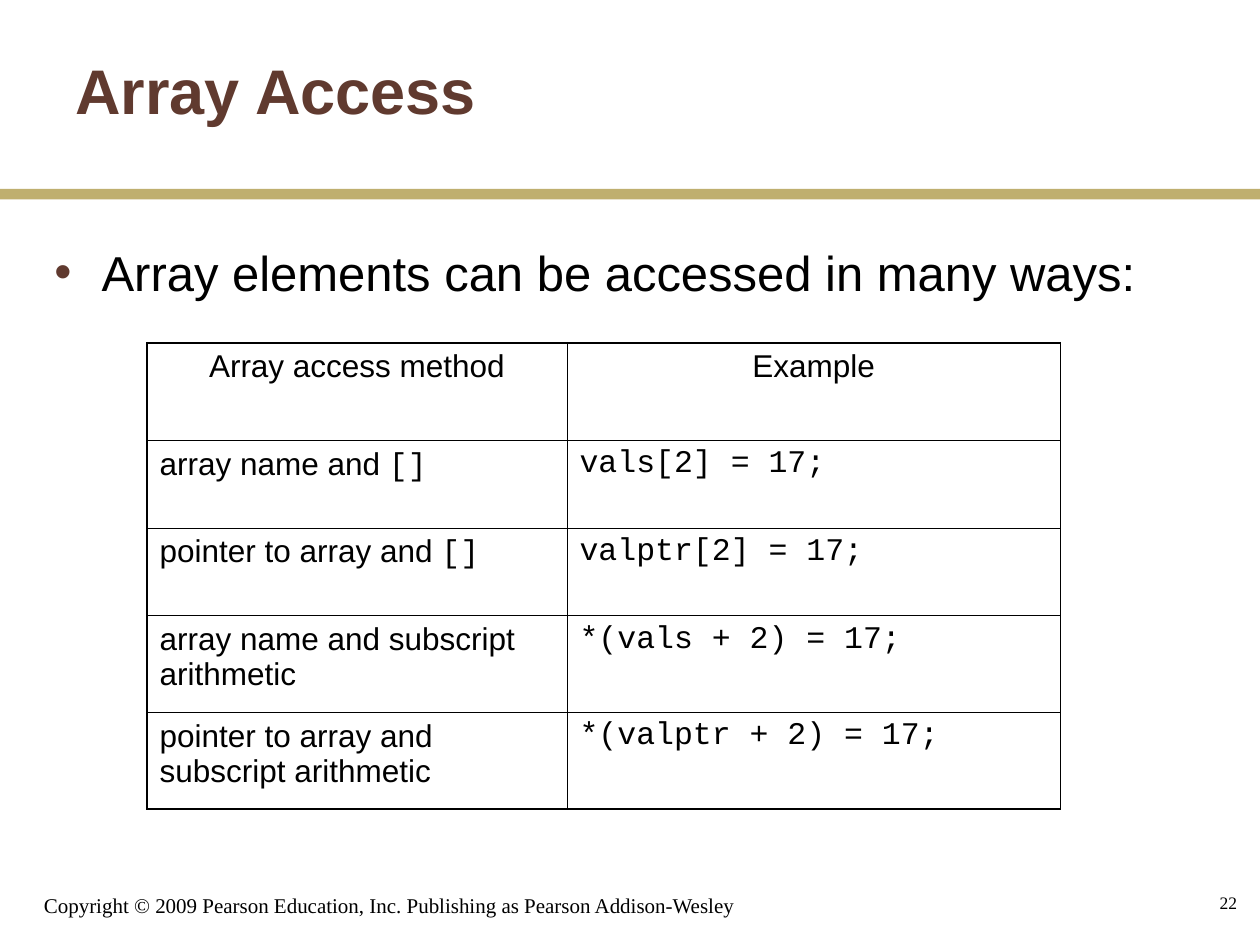
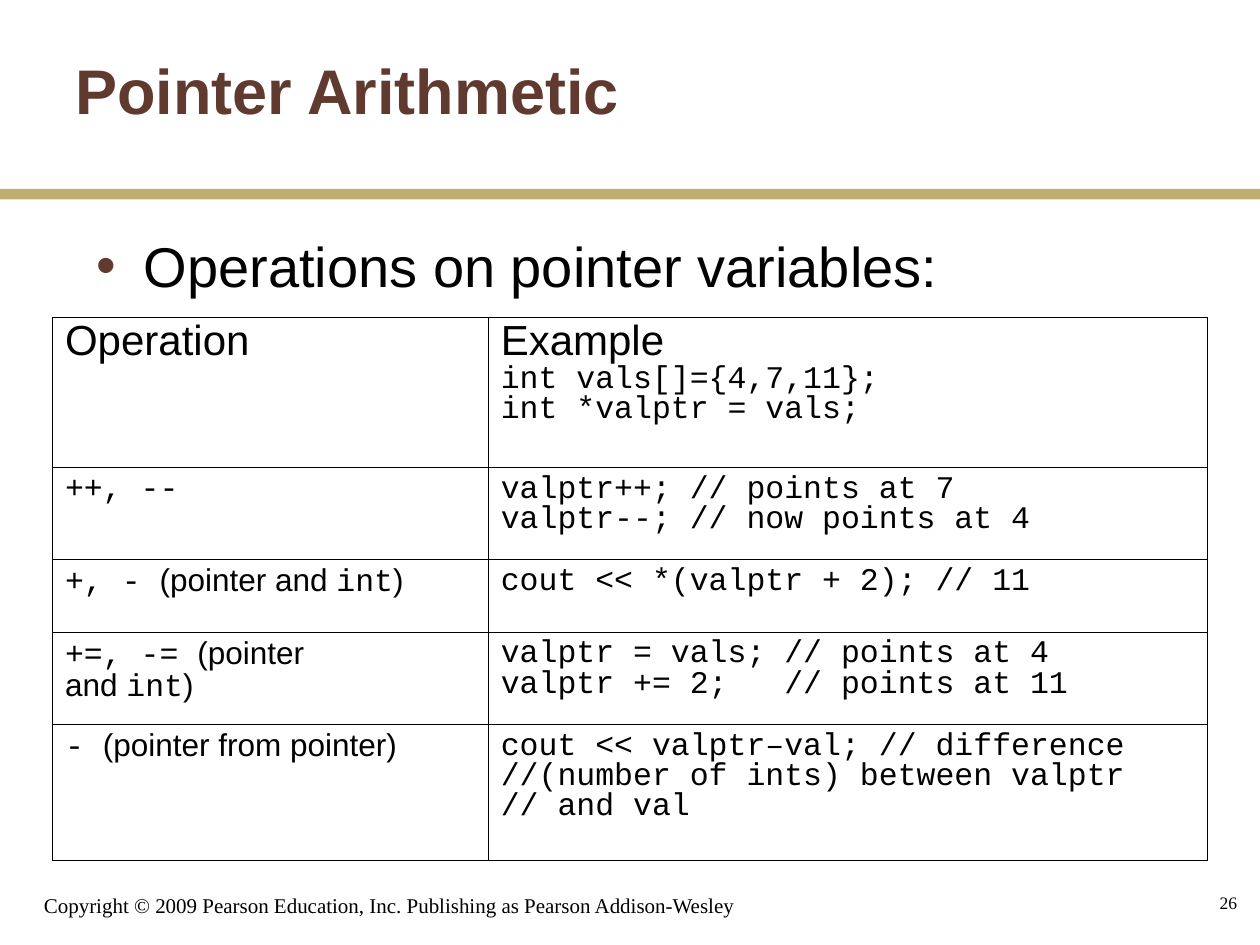
"""Builds two lecture slides on array access and pointer arithmetic."""
from dataclasses import dataclass

from lxml.etree import SubElement
from pptx import Presentation
from pptx.dml.color import RGBColor as RGB
from pptx.enum.shapes import MSO_SHAPE as Shape
from pptx.enum.text import MSO_ANCHOR as Anchor, PP_ALIGN as Align
from pptx.oxml.ns import qn
from pptx.util import Inches, Pt

COPYRIGHT = "Copyright © 2009 Pearson Education, Inc. Publishing as Pearson Addison-Wesley"

# Text between backticks is set as code.
LESSONS = [
    {
        "title": "Array Access",
        "number": "22",
        "point": "Array elements can be accessed in many ways:",
        "point_size": 28,
        "point_box": (4, 22.5, 109, 58),
        "table_corner": (14, 32.65),
        "columns": (40, 47),
        "rows": (9.3, 8.35, 8.35, 9.2, 9.2),
        "head_size": 18,
        "head_align": Align.CENTER,
        "line_spacing": 1.0,
        "cells": [
            (["Array access method"], ["Example"]),
            (["array name and `[]`"], ["`vals[2] = 17;`"]),
            (["pointer to array and `[]`"], ["`valptr[2] = 17;`"]),
            (["array name and subscript arithmetic"], ["`*(vals + 2) = 17;`"]),
            (["pointer to array and subscript arithmetic"], ["`*(valptr + 2) = 17;`"]),
        ],
    },
    {
        "title": "Pointer Arithmetic",
        "number": "26",
        "point": "Operations on pointer variables:",
        "point_size": 32,
        "point_box": (8, 21.5, 103, 49),
        "table_corner": (5, 30.25),
        "columns": (41.5, 68.5),
        "rows": (14.3, 8.75, 6.9, 8.8, 12.95),
        "head_size": 24,
        "head_align": Align.LEFT,
        "line_spacing": 0.85,
        "cells": [
            (["Operation"], ["Example", "`int vals[]={4,7,11};`", "`int *valptr = vals;`"]),
            (["`++, --`"], ["`valptr++; // points at 7`", "`valptr--; // now points at 4`"]),
            (["`+, - `(pointer and `int`)"], ["`cout << *(valptr + 2); // 11`"]),
            (["`+=, -= `(pointer", "and `int`)"],
             ["`valptr = vals; // points at 4`", "`valptr += 2;   // points at 11`"]),
            (["`- `(pointer from pointer)"],
             ["`cout << valptr–val; // difference`", "`//(number of ints) between valptr`",
              "`// and val`"]),
        ],
    },
]


@dataclass(frozen=True)
class Theme:
    brown: str = "603A2F"
    gold: str = "BFAF6F"
    black: str = "000000"
    sans: str = "Arial"
    mono: str = "Courier New"
    serif: str = "Times New Roman"
    title_size: int = 36
    cell_size: int = 18
    copyright_size: int = 12
    number_size: int = 10
    outer_line: float = 1.08
    inner_line: float = 0.45


THEME = Theme()
GRID_COLUMNS, GRID_ROWS = 120, 90
HANGING_INDENT = 4.5


def grid(*steps):
    return [Inches(step / 12) for step in steps]


def style(font, face, size, color=THEME.black, bold=False):
    font.name, font.size, font.bold = face, Pt(size), bold
    font.color.rgb = RGB.from_string(color)


def add_line(slide, box, text, face, size, color=THEME.black, bold=False,
             anchor=Anchor.TOP, align=Align.LEFT, bullet=False):
    frame = slide.shapes.add_textbox(*grid(*box)).text_frame
    frame.word_wrap, frame.vertical_anchor = True, anchor
    line = frame.paragraphs[0]
    line.text, line.alignment = text, align
    if bullet:
        add_bullet(line)
    style(line.font, face, size, color, bold)


def add_bullet(line):
    props = line._p.get_or_add_pPr()
    indent, = grid(HANGING_INDENT)
    props.set("marL", str(indent))
    props.set("indent", str(-indent))
    SubElement(SubElement(props, qn("a:buClr")), qn("a:srgbClr"), val=THEME.brown)
    SubElement(props, qn("a:buFont"), typeface=THEME.sans)
    SubElement(props, qn("a:buChar"), char="•")


def add_border(cell, side, width):
    edge = SubElement(cell._tc.get_or_add_tcPr(), qn(f"a:ln{side}"), w=str(Pt(width)))
    SubElement(SubElement(edge, qn("a:solidFill")), qn("a:srgbClr"), val=THEME.black)


def write_marked(line, marked, size):
    parts = [(text, THEME.mono if i % 2 else THEME.sans)
             for i, text in enumerate(marked.split("`")) if text]
    for text, face in parts:
        run = line.add_run()
        run.text = text
        if len(parts) > 1:
            run.font.name = face
    style(line.font, parts[0][1], size)


def fill_cell(cell, lines, is_head, lesson):
    for i, marked in enumerate(lines):
        frame = cell.text_frame
        line = frame.add_paragraph() if i else frame.paragraphs[0]
        line.alignment = lesson["head_align"] if is_head else Align.LEFT
        line.line_spacing = lesson["line_spacing"]
        write_marked(line, marked, lesson["head_size"] if is_head and not i else THEME.cell_size)


def add_lesson_table(slide, lesson):
    columns, rows = lesson["columns"], lesson["rows"]
    box = grid(*lesson["table_corner"], sum(columns), sum(rows))
    table = slide.shapes.add_table(len(rows), len(columns), *box).table
    table.first_row = table.horz_banding = False
    for column, width in zip(table.columns, grid(*columns)):
        column.width = width
    for row, height in zip(table.rows, grid(*rows)):
        row.height = height
    for r, entries in enumerate(lesson["cells"]):
        for c, lines in enumerate(entries):
            cell = table.cell(r, c)
            cell.margin_left = cell.margin_right = Inches(0.1)
            cell.margin_top = cell.margin_bottom = Inches(0.05)
            outer = {"L": c == 0, "R": c == len(columns) - 1,
                     "T": r == 0, "B": r == len(rows) - 1}
            for side, on_edge in outer.items():
                add_border(cell, side, THEME.outer_line if on_edge else THEME.inner_line)
            cell.fill.background()
            fill_cell(cell, lines, r == 0, lesson)


def add_frame(slide, title, number):
    add_line(slide, (3, 83, 73, 5), COPYRIGHT, THEME.serif, THEME.copyright_size,
             anchor=Anchor.BOTTOM)
    band = slide.shapes.add_shape(Shape.RECTANGLE, *grid(0, 18, GRID_COLUMNS, 1))
    band.shadow.inherit = False
    band.fill.solid()
    band.fill.fore_color.rgb = RGB.from_string(THEME.gold)
    band.line.fill.background()
    add_line(slide, (6, 1, 100, 15), title, THEME.sans, THEME.title_size, THEME.brown,
             bold=True, anchor=Anchor.MIDDLE)
    add_line(slide, (94, 83, 25, 6), number, THEME.serif, THEME.number_size,
             anchor=Anchor.MIDDLE, align=Align.RIGHT)


def main():
    deck = Presentation()
    deck.slide_width, deck.slide_height = grid(GRID_COLUMNS, GRID_ROWS)
    for lesson in LESSONS:
        slide = deck.slides.add_slide(deck.slide_layouts[6])
        add_frame(slide, lesson["title"], lesson["number"])
        add_line(slide, lesson["point_box"], lesson["point"], THEME.sans,
                 lesson["point_size"], bullet=True)
        add_lesson_table(slide, lesson)
    deck.save("out.pptx")


if __name__ == "__main__":
    main()
